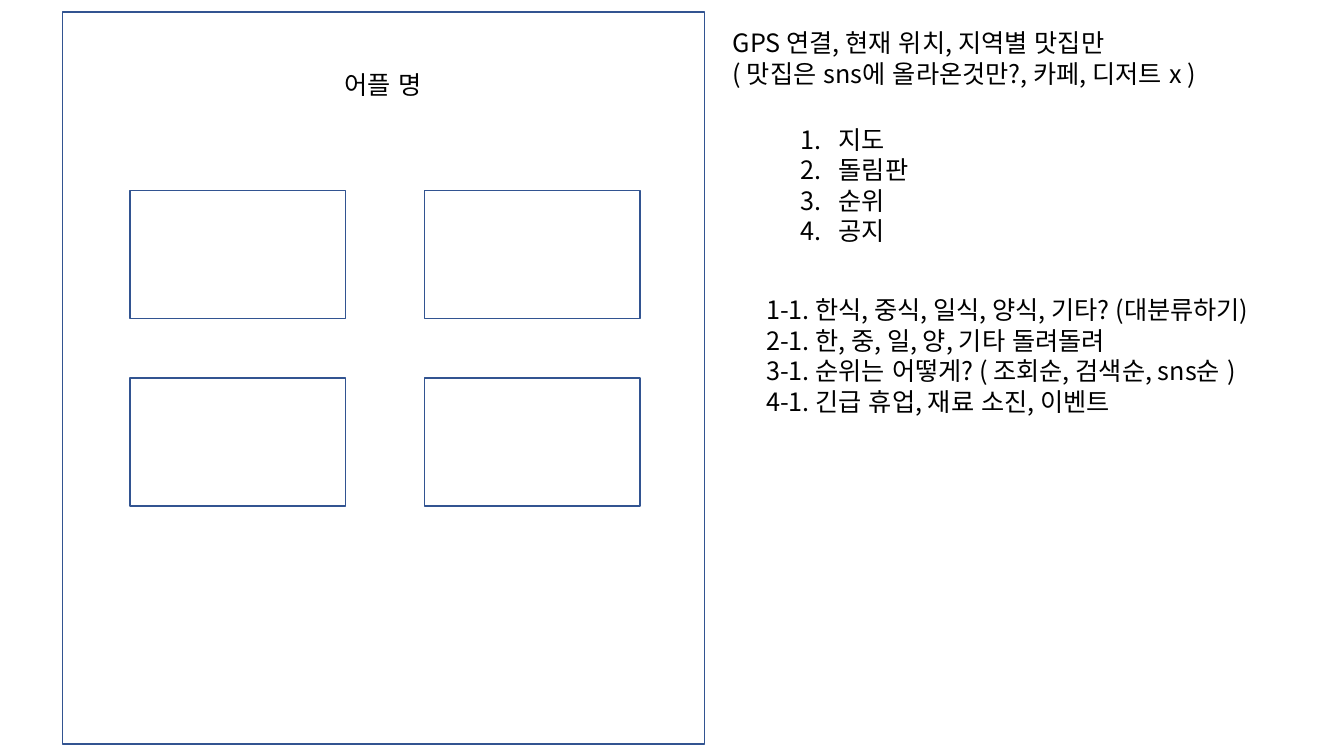
"""Build the app wireframe slide with its planning notes."""
from lxml.etree import SubElement
from pptx import Presentation
from pptx.dml.color import RGBColor
from pptx.enum.lang import MSO_LANGUAGE_ID as Language
from pptx.enum.shapes import MSO_SHAPE as Shape
from pptx.enum.text import MSO_AUTO_SIZE as AutoSize, PP_ALIGN as Align
from pptx.oxml.ns import qn
from pptx.util import Inches, Pt

COLORS = {"background": "FFFFFF", "outline": "325491", "text": "000000"}
FONT = "Noto Sans CJK KR"
FONT_FORMAT = {"name": FONT, "size": Pt(18), "language_id": Language.KOREAN}
FRAME_FORMAT = {"word_wrap": True, "auto_size": AutoSize.SHAPE_TO_FIT_TEXT}
HANGING_INDENT = Inches(0.38)


def color(name):
    """Return the named colour."""
    return RGBColor.from_string(COLORS[name])


def apply_format(target, values):
    """Set each attribute of the target from a dict."""
    for name, value in values.items():
        setattr(target, name, value)


class WireframeSlide:
    """Holds the style and the current slide."""

    def __init__(self, presentation):
        """Add a blank slide."""
        self.slide = presentation.slides.add_slide(presentation.slide_layouts[6])

    def box(self, left, top, width, height):
        """Draw an outlined rectangle."""
        shape = self.slide.shapes.add_shape(
            Shape.RECTANGLE, *map(Inches, (left, top, width, height)))
        shape.shadow.inherit = False
        shape.fill.solid()
        shape.fill.fore_color.rgb = color("background")
        shape.line.color.rgb = color("outline")
        shape.line.width = Pt(1)

    def text(self, position, lines, align=Align.LEFT, numbered=False):
        """Add a text box with one paragraph per line."""
        frame = self.slide.shapes.add_textbox(*map(Inches, position)).text_frame
        apply_format(frame, FRAME_FORMAT)
        for index, line in enumerate(lines):
            paragraph = frame.add_paragraph() if index else frame.paragraphs[0]
            apply_format(paragraph, {"alignment": align, "line_spacing": Pt(21.8)})
            run = paragraph.add_run()
            run.text = line
            apply_format(run.font, FONT_FORMAT)
            run.font.color.rgb = color("text")
            SubElement(run.font._element, qn("a:ea"), typeface=FONT)
            if numbered:
                self.number(paragraph)

    def number(self, paragraph):
        """Give a paragraph an automatic number and a hanging indent."""
        properties = paragraph._p.get_or_add_pPr()
        properties.set("marL", str(HANGING_INDENT))
        properties.set("indent", str(-HANGING_INDENT))
        SubElement(properties, qn("a:buFont"), typeface="+mj-lt")
        SubElement(properties, qn("a:buAutoNum"), type="arabicPeriod")


def main():
    """Build and save the presentation."""
    presentation = Presentation()
    apply_format(presentation, {"slide_width": Inches(13.33), "slide_height": Inches(7.5)})
    wireframe = WireframeSlide(presentation)

    wireframe.box(0.62, 0.12, 6.37, 7.26)
    wireframe.text((7.84, 1.18, 4.63, 1.31), ["지도", "돌림판", "순위", "공지"], numbered=True)
    wireframe.text((7.5, 2.87, 5.66, 1.31), [
        "1-1. 한식, 중식, 일식, 양식, 기타? (대분류하기)",
        "2-1. 한, 중, 일, 양, 기타 돌려돌려",
        "3-1. 순위는 어떻게? ( 조회순, 검색순, sns순 )",
        "4-1. 긴급 휴업, 재료 소진, 이벤트",
    ])
    wireframe.text((1.68, 0.64, 4.24, 0.4), ["어플 명"], align=Align.CENTER)
    wireframe.text((7.17, 0.22, 5.86, 0.71), [
        "GPS 연결, 현재 위치, 지역별 맛집만",
        "( 맛집은 sns에 올라온것만?, 카페, 디저트 x )",
    ])
    for top in (1.89, 3.75):
        for left in (1.29, 4.21):
            wireframe.box(left, top, 2.14, 1.27)

    presentation.save("out.pptx")


if __name__ == "__main__":
    main()
